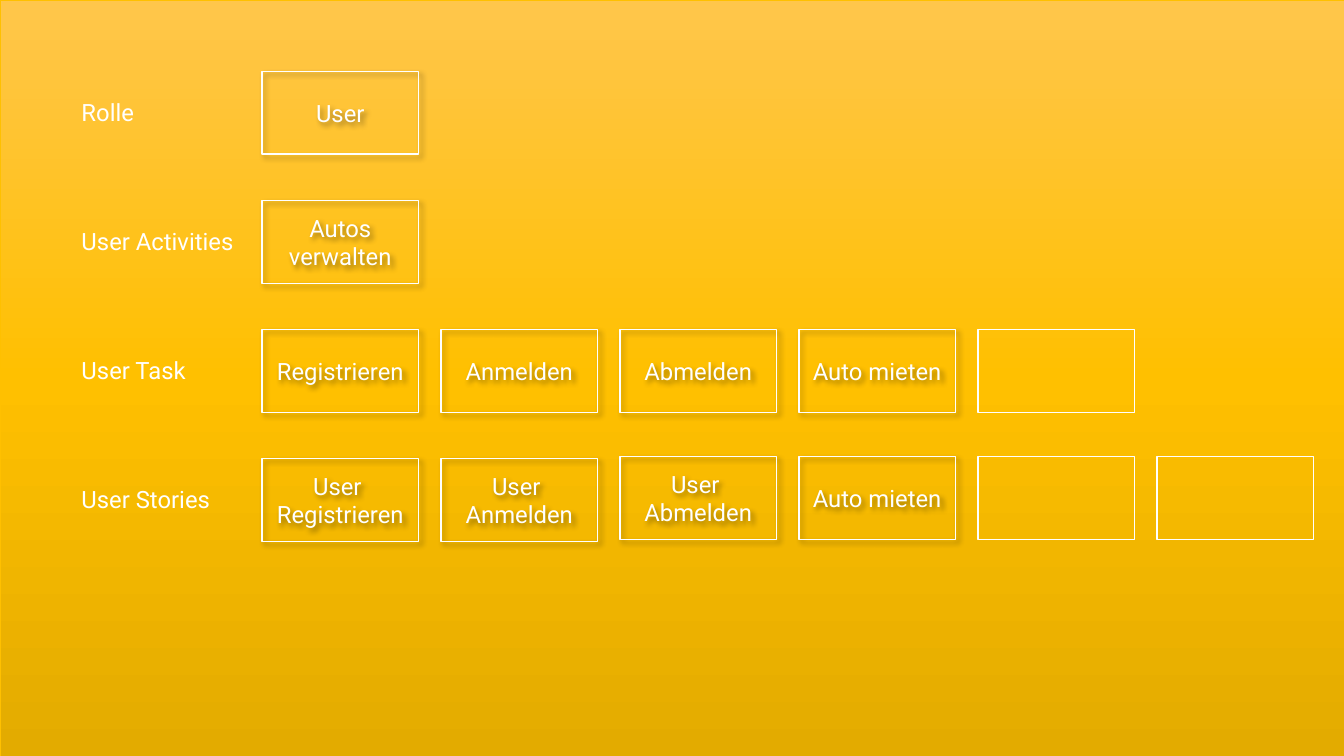
import copy

import pptx
import pptx.dml.color
import pptx.enum.shapes
import pptx.enum.text
import pptx.oxml
import pptx.oxml.ns
import pptx.util
from pptx.util import Inches

WHITE = "FFFFFF"
LEFT, TOP = 2.6, 0.71
STEP_X, STEP_Y = 1.775, 1.28
WIDTH, HEIGHT = 1.55, 0.82
ROWS = [
    ("Rolle", 0.75, ["User"]),
    ("User Activities", 1.78, ["Autos\nverwalten"]),
    ("User Task", 1.29,
     ["Registrieren", "Anmelden", "Abmelden", "Auto mieten", ""]),
    ("User Stories", 1.54,
     ["User \nRegistrieren", "User \nAnmelden", "User \nAbmelden",
      "Auto mieten", "", ""]),
]
SHADOW = (
    '<a:outerShdw xmlns:a="http://schemas.openxmlformats.org/drawingml/2006/main"'
    ' blurRad="50800" dist="38100" dir="2700000" algn="tl" rotWithShape="0">'
    '<a:srgbClr val="000000"><a:alpha val="40000"/></a:srgbClr></a:outerShdw>'
)


def rgb(code):
    return pptx.dml.color.RGBColor.from_string(code)


def write(shape, text, size=17, font="Roboto", color=WHITE, align="LEFT", anchor="TOP"):
    frame = shape.text_frame
    frame.text = text
    frame.vertical_anchor = pptx.enum.text.MSO_ANCHOR[anchor]
    for par in frame.paragraphs:
        par.alignment = pptx.enum.text.PP_ALIGN[align]
        for run in par.runs:
            run.font.size = pptx.util.Pt(size)
            run.font.name = font
            run.font.color.rgb = rgb(color)


def add_rect(slide, x, y, w, h, line, weight, shadow):
    kind = pptx.enum.shapes.MSO_SHAPE.RECTANGLE
    shape = slide.shapes.add_shape(kind, Inches(x), Inches(y), Inches(w), Inches(h))
    shape.fill.background()
    shape.line.color.rgb = rgb(line)
    shape.line.width = pptx.util.Pt(weight)
    shape.shadow.inherit = False
    if shadow:
        effects = shape._element.spPr.find(pptx.oxml.ns.qn("a:effectLst"))
        effects.append(pptx.oxml.parse_xml(SHADOW))
    return shape


def add_back(slide):
    """Cover the slide with a gradient that runs from top to bottom."""
    back = add_rect(slide, 0, 0, 13.33, 7.5, "FFC000", 0.5, True)
    back.fill.gradient()
    back.fill.gradient_angle = 270
    stops = back._element.spPr.find(".//" + pptx.oxml.ns.qn("a:gsLst"))
    stops.append(copy.deepcopy(stops[0]))
    colors = ["FFC64B", "FFC000", "E3AB00"]
    for i, (stop, color) in enumerate(zip(back.fill.gradient_stops, colors)):
        stop.position = i / 2
        stop.color.rgb = rgb(color)


def add_label(slide, text, y, width):
    box = slide.shapes.add_textbox(Inches(0.71), Inches(y), Inches(width), Inches(0.39))
    write(box, text)
    box.text_frame.word_wrap = False
    box.text_frame.auto_size = pptx.enum.text.MSO_AUTO_SIZE.SHAPE_TO_FIT_TEXT


def add_card(slide, text, x, y):
    card = add_rect(slide, x, y, WIDTH, HEIGHT, WHITE, 1, bool(text))
    if text:
        write(card, text, align="CENTER", anchor="MIDDLE")


def main():
    deck = pptx.Presentation()
    deck.slide_width, deck.slide_height = Inches(13.33), Inches(7.5)
    slide = deck.slides.add_slide(deck.slide_layouts[6])
    add_back(slide)
    for row, (label, width, cards) in enumerate(ROWS):
        y = TOP + row * STEP_Y
        add_label(slide, label, y + 0.21, width)
        for col, text in enumerate(cards):
            # The later stories sit slightly higher than the first two.
            lift = 0.02 if row == 3 and col > 1 else 0
            add_card(slide, text, LEFT + col * STEP_X, y - lift)
    deck.save("out.pptx")


if __name__ == "__main__":
    main()
